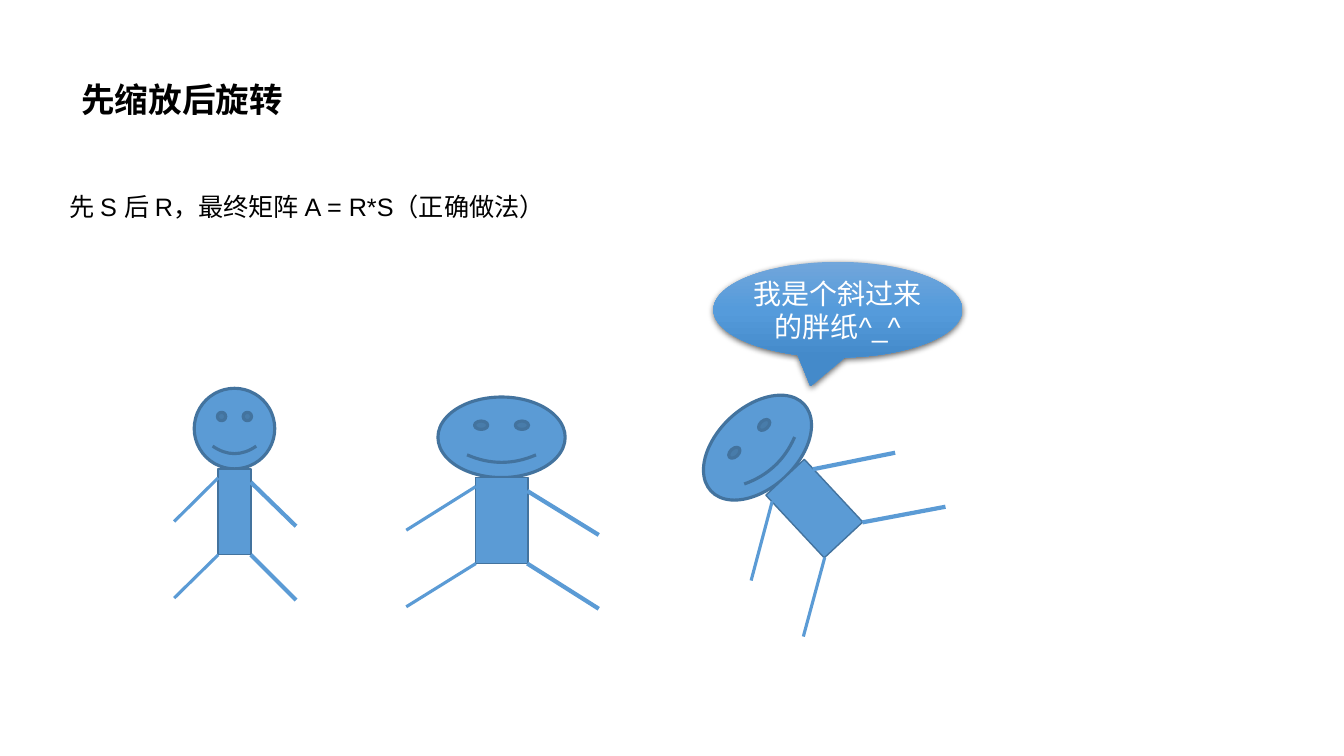
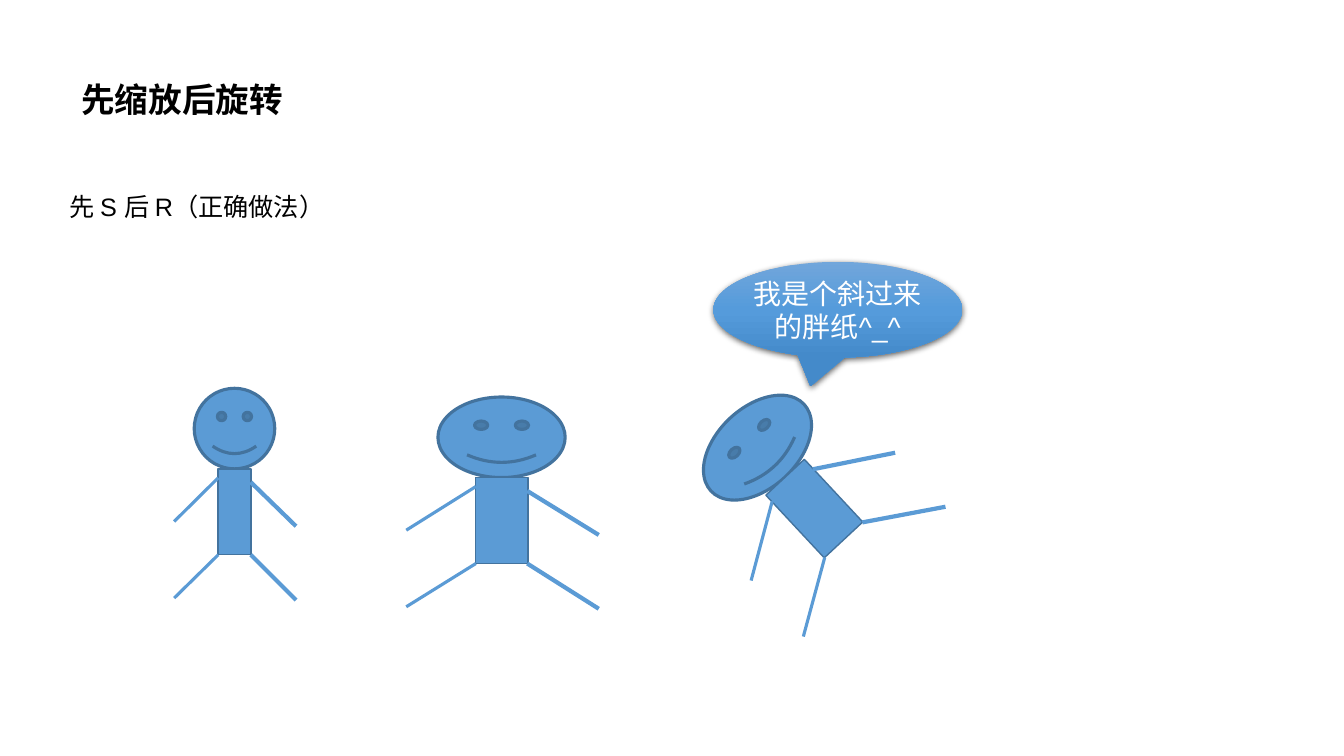
"""Two slides on scaling a figure before rotating it."""
from copy import deepcopy
from math import cos, radians, sin

from lxml import etree
from pptx import Presentation
from pptx.dml.color import RGBColor
from pptx.enum.shapes import MSO_CONNECTOR, MSO_SHAPE
from pptx.enum.text import MSO_ANCHOR, MSO_AUTO_SIZE, PP_ALIGN
from pptx.oxml.ns import qn
from pptx.util import Cm, Pt

STRAIGHT = MSO_CONNECTOR.STRAIGHT
SMILEY = MSO_SHAPE.SMILEY_FACE
RECTANGLE = MSO_SHAPE.RECTANGLE
CALLOUT = MSO_SHAPE.OVAL_CALLOUT
MIDDLE = MSO_ANCHOR.MIDDLE
GROW = MSO_AUTO_SIZE.SHAPE_TO_FIT_TEXT
CENTER = PP_ALIGN.CENTER

COLORS = {"text": "000000", "light": "FFFFFF", "skin": "5B9BD5", "outline": "43739E"}
BUBBLE_STOPS = [(0, "71A6DB"), (0.5, "559BDB"), (1, "448ACA")]
FONT = "Arial"

NOTES = [("先 S 后 R，最终矩阵 A = R*S（正确做法）", 12.55), ("先 S 后 R（正确做法）", 7.01)]

# Head centre, horizontal scale and clockwise angle of each figure
FIGURES = [(5.91, 10.8, 1, 0), (12.64, 11.02, 1.58, 0), (19.09, 11.28, 1.58, 317)]
# Preset, distance below head centre, width, height and outline width
PARTS = [(SMILEY, 0, 2.03, 2.03, 2.25), (RECTANGLE, 2.1, 0.84, 2.16, 1)]
# Start and end relative to head centre, and line width
LIMBS = [
    (-0.41, 1.24, -1.52, 2.34, 2.25),
    (0.41, 1.35, 1.55, 2.46, 3),
    (-0.41, 3.18, -1.52, 4.27, 2.25),
    (0.41, 3.18, 1.55, 4.32, 3),
]


def write(frame, text, size, color, bold=False):
    frame.word_wrap = True
    paragraph = frame.paragraphs[0]
    run = paragraph.add_run()
    run.text = text
    run.font.name = FONT
    run.font.size = Pt(size)
    run.font.bold = bold
    run.font.color.rgb = RGBColor.from_string(COLORS[color])
    return paragraph


def transform(x, y, figure):
    center_x, center_y, stretch, angle = figure
    turn = radians(angle)
    x *= stretch
    return (Cm(center_x + x * cos(turn) - y * sin(turn)),
            Cm(center_y + x * sin(turn) + y * cos(turn)))


deck = Presentation()
deck.slide_width, deck.slide_height = Cm(33.87), Cm(19.05)

for note_text, note_width in NOTES:
    slide = deck.slides.add_slide(deck.slide_layouts[6])

    title = slide.shapes.add_textbox(Cm(1.8), Cm(0.71), Cm(29.21), Cm(3.68)).text_frame
    title.vertical_anchor = MIDDLE
    write(title, "先缩放后旋转", 24, "text", True).line_spacing = 0.9

    for figure in FIGURES:
        person = slide.shapes.add_group_shape().shapes
        stretch, angle = figure[2:]
        for preset, drop, width, height, outline in PARTS:
            x, y = transform(0, drop, figure)
            width, height = Cm(width * stretch), Cm(height)
            part = person.add_shape(preset, x - width // 2, y - height // 2, width, height)
            part.rotation = angle
            part.shadow.inherit = False
            part.fill.solid()
            part.fill.fore_color.rgb = RGBColor.from_string(COLORS["skin"])
            part.line.color.rgb = RGBColor.from_string(COLORS["outline"])
            part.line.width = Pt(outline)
        for start_x, start_y, end_x, end_y, thickness in LIMBS:
            limb = person.add_connector(STRAIGHT, *transform(start_x, start_y, figure),
                                        *transform(end_x, end_y, figure))
            limb.line.color.rgb = RGBColor.from_string(COLORS["skin"])
            limb.line.width = Pt(thickness)
            etree.SubElement(limb._element.spPr, qn("a:effectLst"))

    bubble = slide.shapes.add_shape(CALLOUT, Cm(17.98), Cm(6.6), Cm(6.27), Cm(2.41))
    bubble.adjustments[0], bubble.adjustments[1] = -0.11, 0.8
    bubble.line.fill.background()
    bubble.fill.gradient()
    bubble.fill.gradient_angle = 270
    properties = bubble._element.spPr
    stops = properties.find(qn("a:gradFill")).find(qn("a:gsLst"))
    stops.append(deepcopy(stops[0]))
    for stop, (position, color) in zip(bubble.fill.gradient_stops, BUBBLE_STOPS):
        stop.position = position
        stop.color.rgb = RGBColor.from_string(color)

    bubble.shadow.inherit = False
    shadow = etree.SubElement(properties.find(qn("a:effectLst")), qn("a:outerShdw"),
                              blurRad=str(Pt(4.5)), dist=str(Pt(1.5)),
                              dir="5400000", rotWithShape="0")
    shade = etree.SubElement(shadow, qn("a:srgbClr"), val=COLORS["text"])
    etree.SubElement(shade, qn("a:alpha"), val="63000")

    speech = bubble.text_frame
    speech.margin_left = speech.margin_right = speech.margin_top = speech.margin_bottom = 0
    speech.vertical_anchor = MIDDLE
    write(speech, "我是个斜过来的胖纸^_^", 20, "light").alignment = CENTER

    note = slide.shapes.add_textbox(Cm(1.5), Cm(4.7), Cm(note_width), Cm(1.02)).text_frame
    note.auto_size = GROW
    write(note, note_text, 18, "text")

deck.save("out.pptx")
